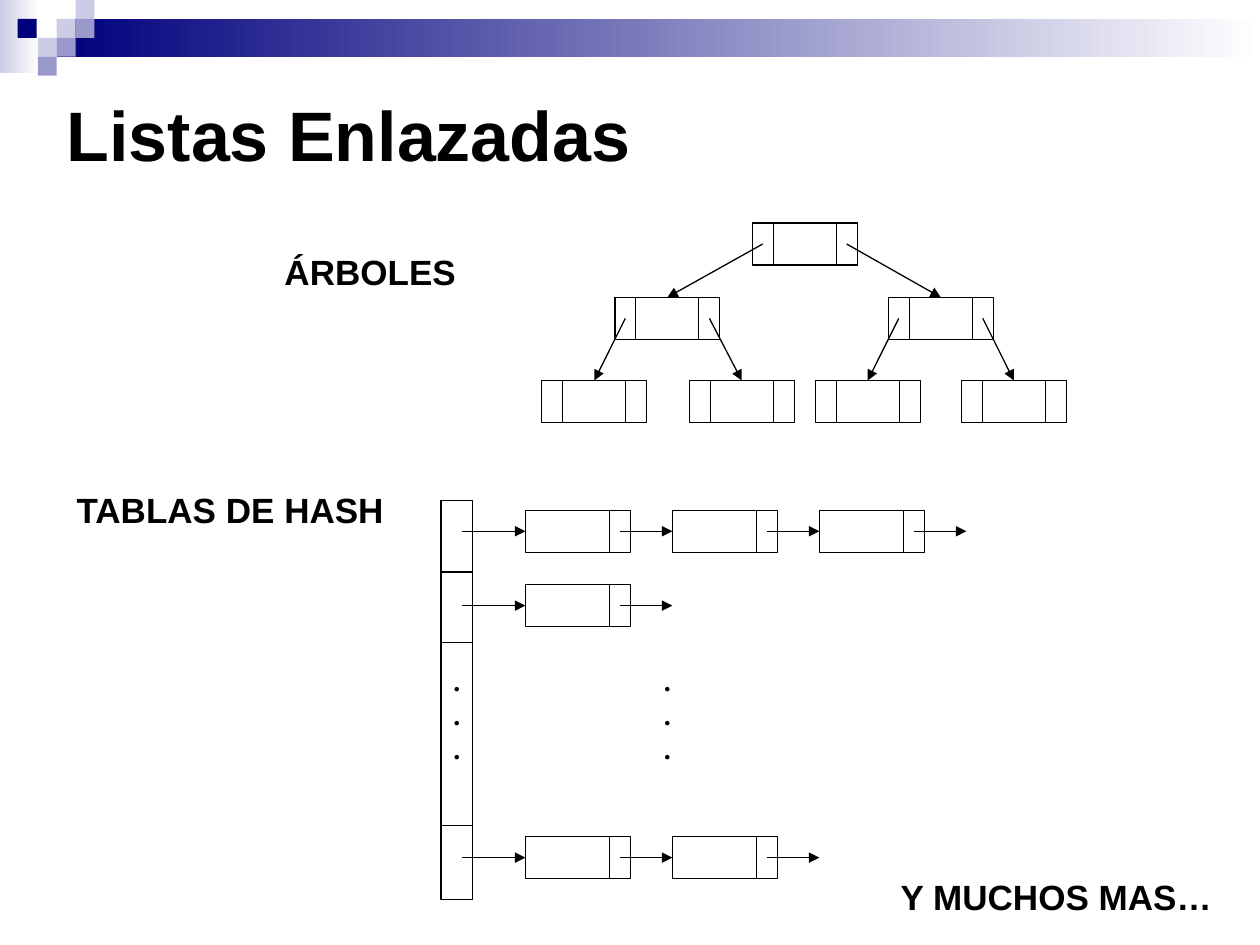
import pptx
import pptx.util
import pptx.dml.color
import pptx.enum.shapes
import pptx.enum.text
from lxml import etree
from dataclasses import dataclass

Inches, Pt = pptx.util.Inches, pptx.util.Pt


@dataclass(frozen=True)
class Theme:
    ink: str = "000000"
    navy: str = "00007D"
    mid: str = "9999CC"
    pale: str = "CCCCE6"
    white: str = "FFFFFF"
    font: str = "Arial"
    dots_font: str = "Times New Roman"
    title: int = 40
    label: int = 20
    dots: int = 16
    line: float = 0.75


T = Theme()

# Content: text boxes as (text, left, top, width, height)
TITLE = ("Listas Enlazadas", 0.43, 0.68, 9, 1.5)
LABELS = [
    ("ÁRBOLES", 2.16, 1.94, 1.73, 0.43),
    ("TABLAS DE HASH", 0.51, 3.83, 2.75, 0.43),
    ("Y MUCHOS MAS…", 7.05, 6.9, 2.75, 0.43),
]
DOTS = [("...", 3.5, 5.22, 0.25, 0.9), ("...", 5.17, 5.22, 0.2, 0.9)]

# Banner: gradients fade to white; tiles are (left, top, colour)
FADES = [(0, 0, 0.31, 0.58, T.pale), (0.45, 0.15, 9.55, 0.3, T.navy)]
TILE = 0.15
TILES = [
    (0.45, 0.15, T.pale), (0.6, 0, T.pale), (0.6, 0.15, T.mid),
    (0.3, 0.3, T.pale), (0.14, 0.15, T.navy), (0.45, 0.3, T.mid),
    (0.3, 0.45, T.mid),
]

# Tree levels: (top, node lefts); node i hangs from node i // 2 above
TREE = [
    (1.77, [5.97]),
    (2.36, [4.88, 7.05]),
    (3.02, [4.3, 5.47, 6.47, 7.63]),
]

# Hash table: bucket column, its dividers, chains as (top, node count)
BUCKETS = (3.5, 3.97, 0.25, 3.17)
DIVIDERS = [4.54, 5.1, 6.55]
CHAINS = [(4.05, 3), (4.64, 1), (6.64, 2)]
CHAIN_LEFT = 4.17

# Node geometry
NODE_W, NODE_H = 5 / 6, 1 / 3
CELL = NODE_W / 5
PITCH = 7 / 6

prs = pptx.Presentation()
prs.slide_width, prs.slide_height = Inches(10), Inches(7.5)
s = prs.slides.add_slide(prs.slide_layouts[5])


def rgb(value):
    return pptx.dml.color.RGBColor.from_string(value)


def write(sp, text, *, size, font=T.font, right=0.1):
    tf = sp.text_frame
    tf.word_wrap = True
    tf.auto_size = pptx.enum.text.MSO_AUTO_SIZE.NONE
    tf.vertical_anchor = pptx.enum.text.MSO_ANCHOR.TOP
    tf.margin_left, tf.margin_right = Inches(0.1), Inches(right)
    tf.margin_top = tf.margin_bottom = Inches(0.05)
    p = tf.paragraphs[0]
    p.alignment = pptx.enum.text.PP_ALIGN.LEFT
    r = p.add_run()
    r.text = text
    r.font.name, r.font.size, r.font.bold = font, Pt(size), True
    r.font.color.rgb = rgb(T.ink)


def text_box(item, **fmt):
    text, *box = item
    write(s.shapes.add_textbox(*map(Inches, box)), text, **fmt)


def rect(x, y, w, h, fill=None, fade=False):
    sp = s.shapes.add_shape(pptx.enum.shapes.MSO_SHAPE.RECTANGLE,
                            *map(Inches, (x, y, w, h)))
    sp.shadow.inherit = False
    if fill is None:
        sp.fill.background()
        sp.line.color.rgb = rgb(T.ink)
        sp.line.width = Pt(T.line)
        return
    sp.line.fill.background()
    if fade:
        sp.fill.gradient()
        sp.fill.gradient_angle = 0
        for stop, color, pos in zip(sp.fill.gradient_stops,
                                    (fill, T.white), (0, 1)):
            stop.color.rgb, stop.position = rgb(color), pos
    else:
        sp.fill.solid()
        sp.fill.fore_color.rgb = rgb(fill)


def line(x1, y1, x2, y2, arrow=False):
    c = s.shapes.add_connector(pptx.enum.shapes.MSO_CONNECTOR.STRAIGHT,
                               *map(Inches, (x1, y1, x2, y2)))
    c.line.color.rgb = rgb(T.ink)
    c.line.width = Pt(T.line)
    ns = pptx.oxml.ns.qn
    if arrow:
        etree.SubElement(c.line._get_or_add_ln(), ns("a:tailEnd"), type="triangle")
    etree.SubElement(c._element.spPr, ns("a:effectLst"))


def node(x, y, cuts):
    rect(x, y, NODE_W, NODE_H)
    for cut in cuts:
        line(x + cut, y, x + cut, y + NODE_H)


# Banner
for *box, color in FADES:
    rect(*box, fill=color, fade=True)
for x, y, color in TILES:
    rect(x, y, TILE, TILE, fill=color)

# Title and labels
title = s.shapes.title
title.left, title.top, title.width, title.height = map(Inches, TITLE[1:])
write(title, TITLE[0], size=T.title)
for label in LABELS:
    text_box(label, size=T.label)

# Tree
for depth, (top, lefts) in enumerate(TREE):
    for i, x in enumerate(lefts):
        node(x, top, (CELL, NODE_W - CELL))
        if depth:
            parent_top, parents = TREE[depth - 1]
            start = NODE_W - CELL / 2 if i % 2 else CELL / 2
            line(parents[i // 2] + start, parent_top + NODE_H / 2,
                 x + NODE_W / 2, top, arrow=True)

# Hash table: buckets, then one chain per row
rect(*BUCKETS)
bucket_right = BUCKETS[0] + BUCKETS[2]
for y in DIVIDERS:
    line(BUCKETS[0], y, bucket_right, y)
for top, count in CHAINS:
    mid = top + NODE_H / 2
    line(bucket_right - CELL / 2, mid, CHAIN_LEFT, mid, arrow=True)
    for i in range(count):
        x = CHAIN_LEFT + i * PITCH
        node(x, top, (NODE_W - CELL,))
        line(x + NODE_W - CELL / 2, mid, x + PITCH, mid, arrow=True)

# Narrow boxes wrap the dots into a column
for dots in DOTS:
    text_box(dots, size=T.dots, font=T.dots_font, right=0.05)

prs.save("out.pptx")
